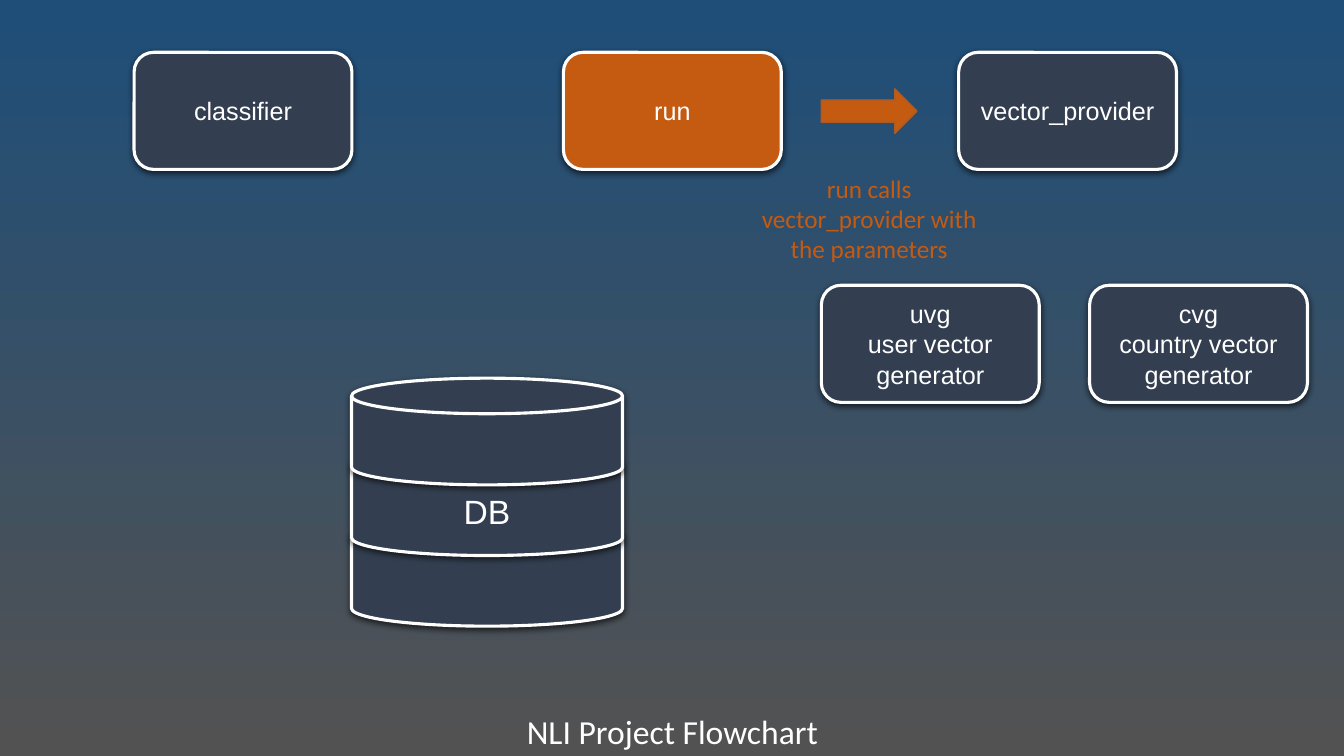
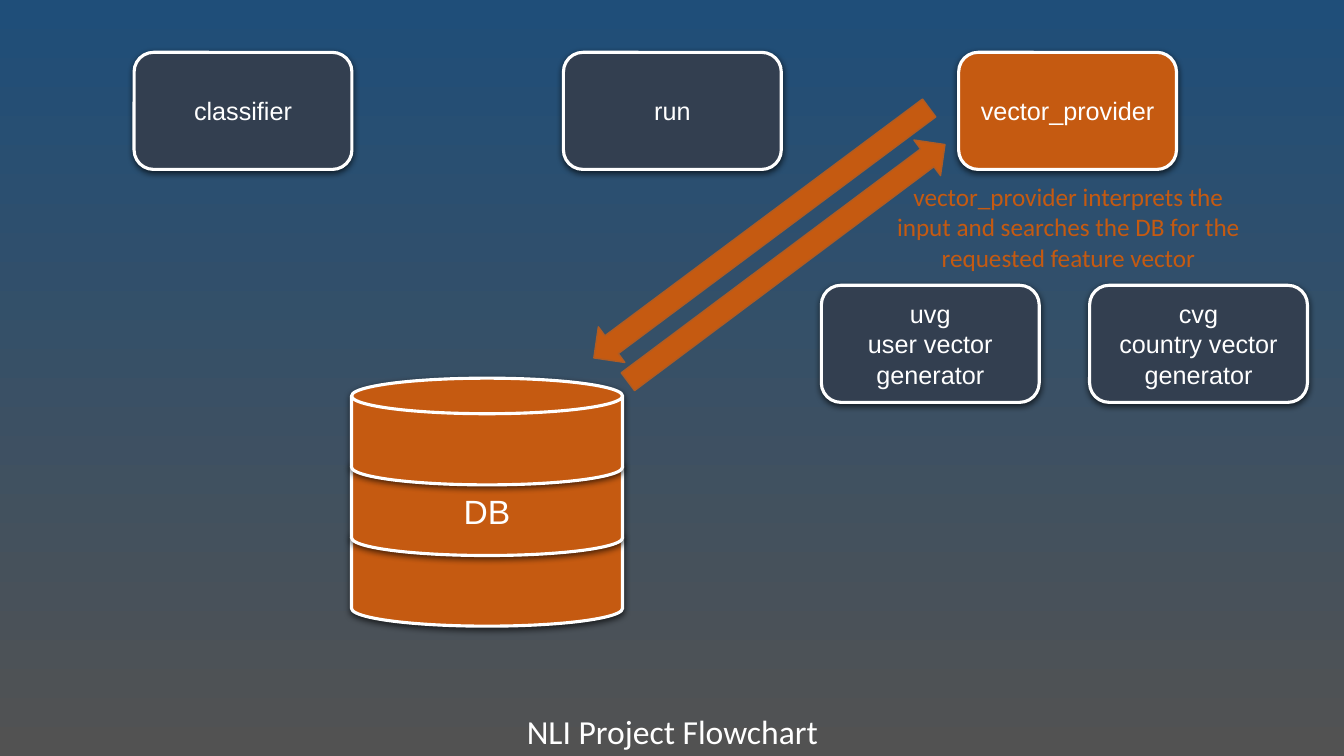
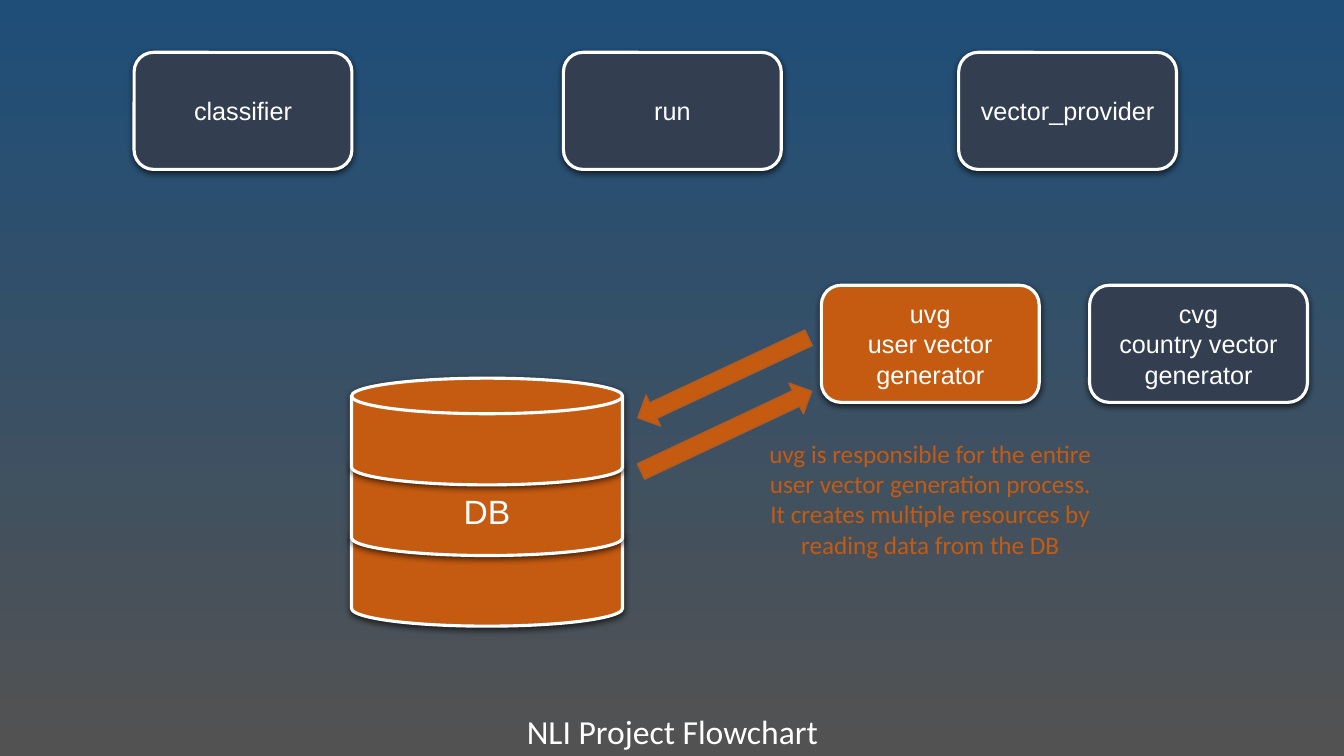
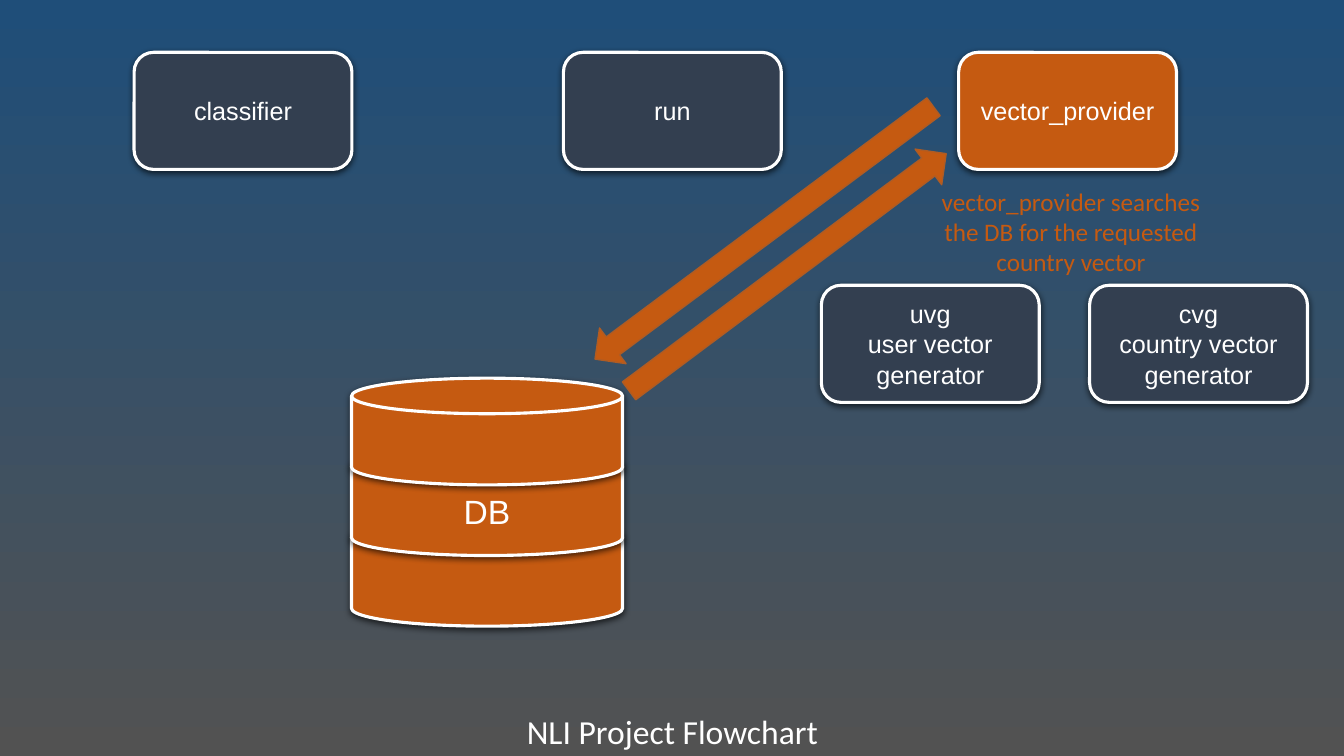
from dataclasses import dataclass

from lxml.etree import SubElement
from pptx import Presentation
from pptx.dml.color import RGBColor
from pptx.enum.dml import MSO_FILL
from pptx.enum.shapes import MSO_SHAPE
from pptx.enum.text import MSO_ANCHOR, MSO_AUTO_SIZE, PP_ALIGN
from pptx.oxml.ns import qn
from pptx.presentation import Presentation as Deck
from pptx.shapes.autoshape import Shape
from pptx.slide import Slide
from pptx.text.text import TextFrame
from pptx.util import Cm, Pt

WHITE = "FFFFFF"
NAVY = "333F50"
ORANGE = "C55A11"
ARROW_EDGE = "AF5C24"
BACKGROUND = ("1F4E79", "525252")
LABEL_FONT = "Arial"
TEXT_FONT = "Calibri"
TITLE = "NLI Project Flowchart"

BOX_WIDTH, BOX_HEIGHT = 5.49, 2.95
TOP_ROW, LOWER_ROW = 1.32, 7.19
DISK_LEFT, DISK_TOP, DISK_STEP = 8.86, 9.53, 1.78
DISK_WIDTH, DISK_HEIGHT = 6.83, 2.69


@dataclass(frozen=True)
class Module:
    """A labelled box of the flowchart."""

    name: str
    left: float
    top: float
    detail: str = ""


@dataclass(frozen=True)
class Arrow:
    """A block arrow, turned clockwise by an angle."""

    left: float
    top: float
    width: float
    height: float = 1.12
    angle: float = 0


@dataclass(frozen=True)
class Caption:
    """An explanation with its lines and frame."""

    lines: tuple[str, ...]
    left: float
    top: float
    width: float
    height: float = 2.57


@dataclass(frozen=True)
class Step:
    """One slide: the active parts, the caption and the arrows."""

    active: tuple[str, ...]
    caption: Caption
    arrows: tuple[Arrow, ...]


MODULES = (
    Module("run", 14.2, TOP_ROW),
    Module("vector_provider", 24.16, TOP_ROW),
    Module("cvg", 27.46, LOWER_ROW, "country vector generator"),
    Module("uvg", 20.7, LOWER_ROW, "user vector generator"),
    Module("classifier", 3.38, TOP_ROW),
)

STEPS = (
    Step(
        ("run",),
        Caption(("run calls vector_provider with the parameters",), 18.49, 4.24, 6.83),
        (Arrow(20.7, 2.24, 2.41),),
    ),
    Step(
        ("vector_provider", "DB"),
        Caption(
            ("vector_provider interprets the input and searches the DB for the requested feature vector",),
            22.1, 4.45, 9.65,
        ),
        (Arrow(13.92, 5.31, 10.54, angle=143.3), Arrow(14.83, 6.07, 9.98, angle=323.2)),
    ),
    Step(
        ("uvg", "DB"),
        Caption(
            (
                "uvg is responsible for the entire user vector generation process.",
                "It creates multiple resources by reading data from the DB",
            ),
            18.62, 10.92, 9.65, 3.33,
        ),
        (Arrow(15.85, 9.09, 4.75, 0.86, 154.9), Arrow(15.93, 10.44, 4.75, 0.86, 334.8)),
    ),
    Step(
        ("vector_provider", "DB"),
        Caption(
            ("vector_provider searches the DB for the requested country vector",),
            23.14, 4.57, 7.7,
        ),
        (Arrow(13.94, 5.31, 10.64, angle=143.3), Arrow(14.86, 6.3, 9.98, angle=323.2)),
    ),
)


def rgb(value: str) -> RGBColor:
    """Turn a hex string into a colour."""
    return RGBColor.from_string(value)


def write(frame: TextFrame, lines: tuple[str, ...], font: str, size: int, colour: str) -> None:
    """Write centred lines into a frame, one run for each line."""
    frame.word_wrap = True
    para = frame.paragraphs[0]
    para.alignment = PP_ALIGN.CENTER
    for index, line in enumerate(lines):
        if index:
            para.add_line_break()
        span = para.add_run()
        span.text = line
        span.font.name = font
        span.font.size = Pt(size)
        span.font.color.rgb = rgb(colour)


def paint(shape: Shape, fill: str, line: str, width: float) -> None:
    """Give a shape a fill and an outline without a shadow."""
    shape.shadow.inherit = False
    shape.fill.solid()
    shape.fill.fore_color.rgb = rgb(fill)
    shape.line.color.rgb = rgb(line)
    shape.line.width = Pt(width)


def add_soft_shadow(shape: Shape) -> None:
    """Put a soft black shadow below a shape."""
    effects = shape.element.spPr.find(qn("a:effectLst"))
    shadow = SubElement(
        effects, qn("a:outerShdw"),
        blurRad=str(Pt(4.5)), dist=str(Pt(1.5)), dir="5400000", algn="ctr", rotWithShape="0",
    )
    black = SubElement(shadow, qn("a:srgbClr"), val="000000")
    SubElement(black, qn("a:alpha"), val="63000")


def style_part(shape: Shape, active: bool) -> None:
    """Style a box or disk as active or idle."""
    paint(shape, ORANGE if active else NAVY, WHITE, 2.25)
    add_soft_shadow(shape)
    shape.text_frame.vertical_anchor = MSO_ANCHOR.MIDDLE


def add_module(page: Slide, module: Module, active: bool) -> None:
    """Draw a module box with its label."""
    box = page.shapes.add_shape(
        MSO_SHAPE.ROUNDED_RECTANGLE, Cm(module.left), Cm(module.top), Cm(BOX_WIDTH), Cm(BOX_HEIGHT)
    )
    style_part(box, active)
    lines = (module.name, module.detail) if module.detail else (module.name,)
    write(box.text_frame, lines, LABEL_FONT, 18, WHITE)


def add_database(page: Slide, active: bool) -> None:
    """Stack three disks from the bottom up, with the label on the middle one."""
    group = page.shapes.add_group_shape()
    for level in (2, 1, 0):
        disk = group.shapes.add_shape(
            MSO_SHAPE.FLOWCHART_MAGNETIC_DISK,
            Cm(DISK_LEFT), Cm(DISK_TOP + level * DISK_STEP), Cm(DISK_WIDTH), Cm(DISK_HEIGHT),
        )
        style_part(disk, active)
        if level == 1:
            write(disk.text_frame, ("DB",), LABEL_FONT, 24, WHITE)


def add_caption(page: Slide, caption: Caption) -> None:
    """Draw the explanation of a step."""
    box = page.shapes.add_textbox(
        Cm(caption.left), Cm(caption.top), Cm(caption.width), Cm(caption.height)
    )
    write(box.text_frame, caption.lines, TEXT_FONT, 18, ORANGE)


def add_arrow(page: Slide, arrow: Arrow) -> None:
    """Draw a block arrow."""
    shape = page.shapes.add_shape(
        MSO_SHAPE.RIGHT_ARROW, Cm(arrow.left), Cm(arrow.top), Cm(arrow.width), Cm(arrow.height)
    )
    paint(shape, ORANGE, ARROW_EDGE, 1)
    shape.rotation = arrow.angle


def set_up_template(deck: Deck) -> None:
    """Set the slide size, the background and the title position."""
    deck.slide_width, deck.slide_height = Cm(33.87), Cm(19.05)
    fill = deck.slide_master.background.fill
    if fill.type != MSO_FILL.GRADIENT:
        fill.gradient()
    fill.gradient_angle = 270
    for stop, colour in zip(fill.gradient_stops, BACKGROUND):
        stop.color.rgb = rgb(colour)
    title = deck.slide_layouts.get_by_name("Title Only").placeholders[0]
    title.left, title.top, title.width, title.height = Cm(12.73), Cm(17.78), Cm(8.43), Cm(1.27)
    title.text_frame.vertical_anchor = MSO_ANCHOR.TOP
    title.text_frame.auto_size = MSO_AUTO_SIZE.NONE


def add_step(deck: Deck, step: Step) -> None:
    """Build the slide of one step."""
    page = deck.slides.add_slide(deck.slide_layouts.get_by_name("Title Only"))
    write(page.shapes.title.text_frame, (TITLE,), TEXT_FONT, 24, WHITE)
    for module in MODULES:
        add_module(page, module, module.name in step.active)
    add_database(page, "DB" in step.active)
    add_caption(page, step.caption)
    for arrow in step.arrows:
        add_arrow(page, arrow)


def main() -> None:
    """Build and save the deck."""
    deck = Presentation()
    set_up_template(deck)
    for step in STEPS:
        add_step(deck, step)
    deck.save("out.pptx")


if __name__ == "__main__":
    main()
